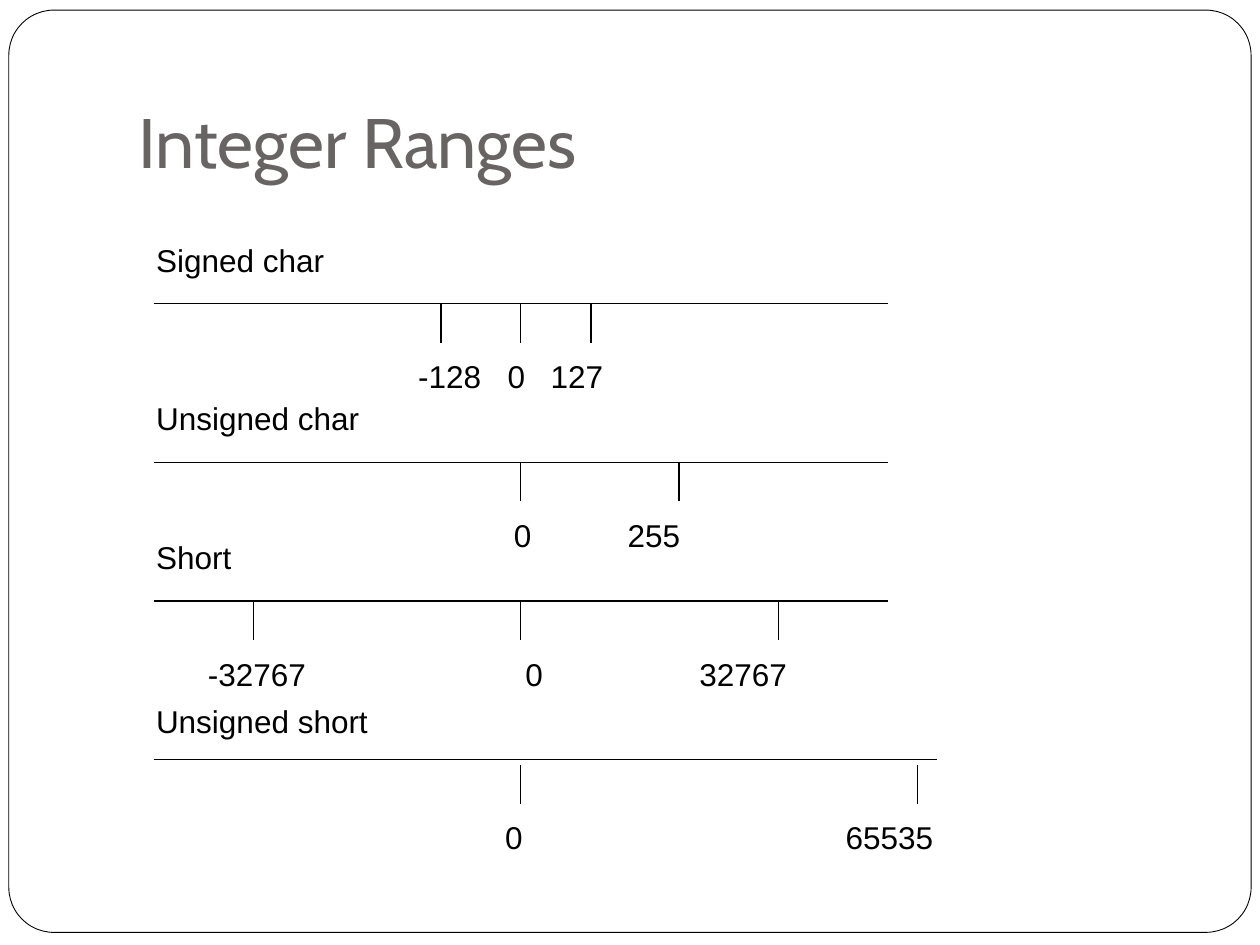
from lxml import etree
from pptx import Presentation, util as u
from pptx.dml.color import RGBColor
from pptx.enum import shapes, text
from pptx.oxml import ns

inch = u.Inches
deck = Presentation()
deck.slide_width, deck.slide_height = inch(10), inch(7.5)
slide = deck.slides.add_slide(deck.slide_layouts[5])
parts = slide.shapes


def write(para, words, font, size, color):
    run = para.add_run()
    run.text = words
    run.font.name, run.font.size = font, u.Pt(size)
    run.font.color.rgb = RGBColor.from_string(color)


def rule(x1, y1, x2, y2):
    line = parts.add_connector(shapes.MSO_CONNECTOR.STRAIGHT,
                               inch(x1), inch(y1), inch(x2), inch(y2))
    line.line.width = u.Pt(0.75)
    line.line.color.rgb = RGBColor.from_string("000000")
    etree.SubElement(line.element.spPr, ns.qn("a:effectLst"))


# Frame behind everything
frame = parts.add_shape(shapes.MSO_SHAPE.ROUNDED_RECTANGLE,
                        inch(0.07), inch(0.08), inch(9.86), inch(7.32))
frame.adjustments[0] = 0.049
frame.shadow.inherit = False
frame.fill.solid()
frame.fill.fore_color.rgb = RGBColor.from_string("FFFFFF")
frame.line.color.rgb = RGBColor.from_string("000000")
frame.line.width = u.Pt(0.5)
frame.element.getparent().insert(2, frame.element)

# Title
title = parts.title
title.left, title.top = inch(1), inch(0.3)
title.width, title.height = inch(8.5), inch(1.25)
body = title.text_frame
body.vertical_anchor = text.MSO_ANCHOR.BOTTOM
body.margin_bottom = inch(0.1)
body.paragraphs[0].alignment = text.PP_ALIGN.LEFT
write(body.paragraphs[0], "Integer Ranges", "Cabin", 40, "696464")

# Number lines: name, box top, box width, axis end, tick drop,
# then value, tick x and label centre
left, inset, zero = 1.14, 0.1, 4.13
rows = [
    ("Signed char", 1.86, 5.99, 7.05, 0,
     [("-128", 3.5, 3.57), ("0", zero, 4.1), ("127", 4.69, 4.58)]),
    ("Unsigned char", 3.12, 5.99, 7.05, 0,
     [("0", zero, 4.15), ("255", 5.39, 5.19)]),
    ("Short", 4.22, 5.99, 7.05, 0,
     [("-32767", 2.01, 2.04), ("0", zero, 4.24), ("32767", 6.18, 5.9)]),
    ("Unsigned short", 5.52, 6.93, 7.44, 0.04,
     [("0", zero, 4.08), ("65535", 7.28, 7.06)]),
]
for name, top, width, end, drop, marks in rows:
    box = parts.add_textbox(inch(left), inch(top), inch(width), inch(1.32))
    body = box.text_frame
    body.word_wrap = True
    write(body.paragraphs[0], name, "Arial", 18, "000000")

    # Values sit on centred tab stops
    para = body.add_paragraph()
    para.space_before = u.Pt(45)
    tabs = etree.SubElement(para._p.get_or_add_pPr(), ns.qn("a:tabLst"))
    axis = top + 0.55 - drop
    rule(1.22, axis, end, axis)
    for value, tick, mid in marks:
        etree.SubElement(tabs, ns.qn("a:tab"), algn="ctr",
                         pos=str(inch(mid - left - inset)))
        write(para, "\t" + value, "Arial", 18, "000000")
        rule(tick, axis + drop, tick, axis + drop + 0.31)

deck.save("out.pptx")
